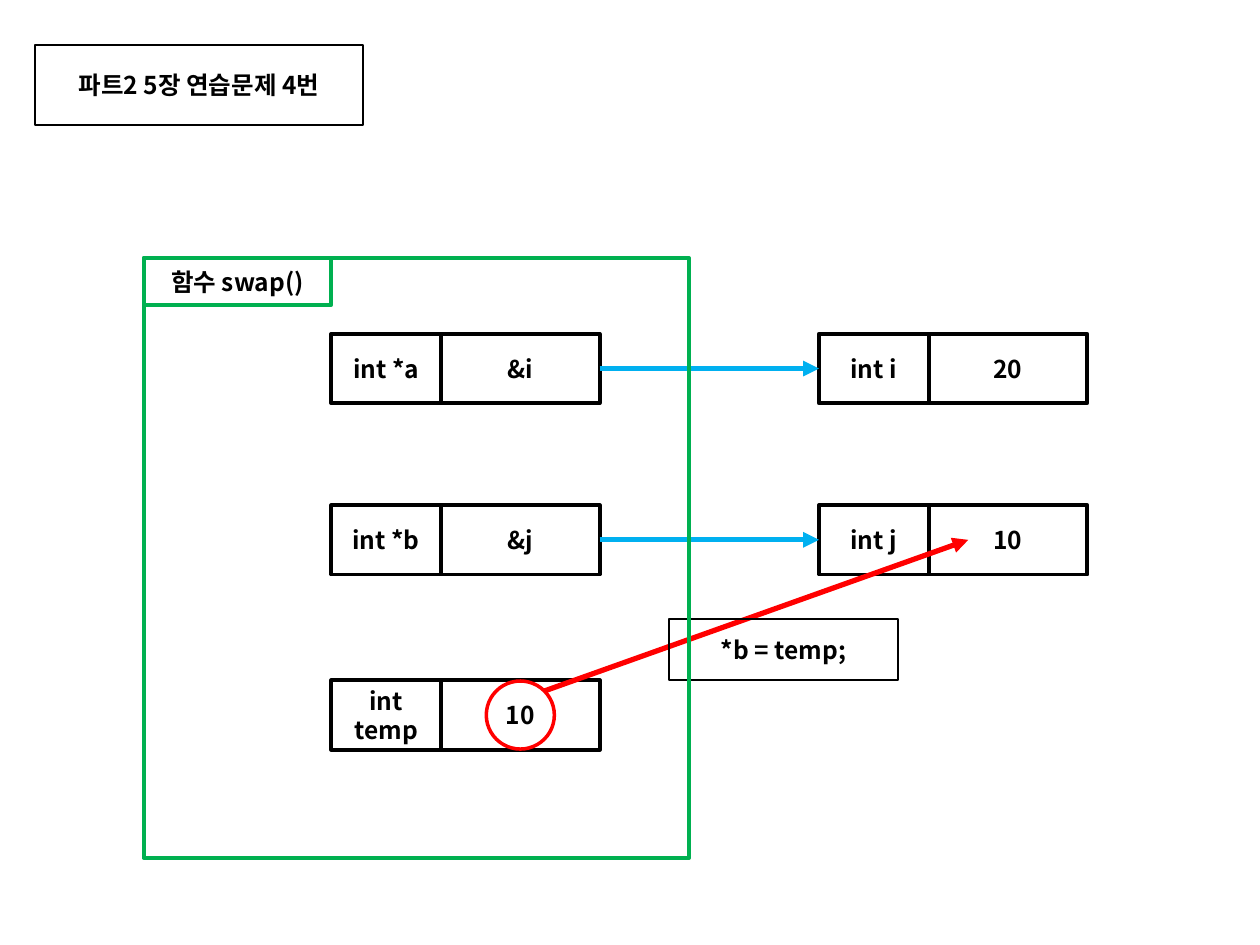
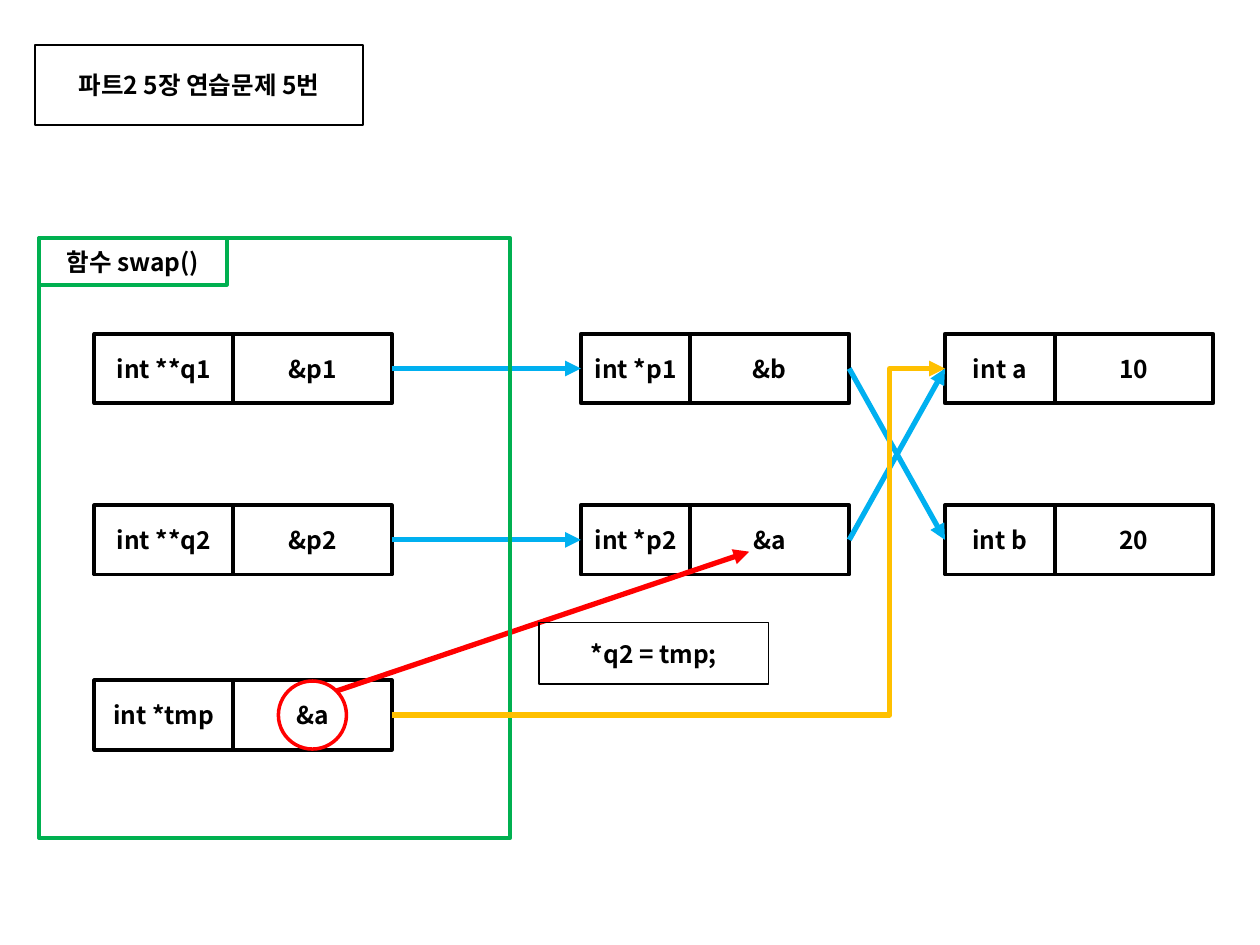
"""Build two slides that trace how swap() exchanges values through pointers."""
from dataclasses import dataclass
from math import sqrt

from lxml.etree import SubElement
from pptx import Presentation
from pptx.dml.color import RGBColor
from pptx.enum.shapes import MSO_CONNECTOR as Link, MSO_SHAPE as Kind
from pptx.enum.text import MSO_ANCHOR as Anchor, PP_ALIGN as Align
from pptx.oxml.ns import qn
from pptx.util import Inches, Pt


@dataclass(frozen=True)
class Theme:
    font: str = "Noto Sans CJK KR"
    size: int = 14
    ink: str = "000000"
    scope: str = "00B050"
    pointer: str = "00B0F0"
    assign: str = "FF0000"
    copied: str = "FFC000"
    thin: float = 1
    ring: float = 2
    frame: float = 2.25
    arrow: float = 3


THEME = Theme()
WIDTH, HEIGHT = 10, 7.5
TITLE = (0.28, 0.36, 2.6, 0.63)
ROWS = (2.65, 4.01, 5.4)
CELL_HEIGHT, VALUE_WIDTH = 0.55, 1.26
SCOPE_HEIGHT, TAB_SIZE, NOTE_SIZE = 4.76, (1.49, 0.37), (1.82, 0.49)
RING = 0.54
ELBOW = 0.9

SLIDES = [
    {
        "title": "파트2 5장 연습문제 4번",
        "scope": (1.14, 2.05, 4.33),
        "columns": [
            (2.63, 0.87, [("int *a", "&i"), ("int *b", "&j"), ("int temp", "10")]),
            (6.5, 0.87, [("int i", "20"), ("int j", "10")]),
        ],
        "pointers": [((0, 0), (1, 0)), ((0, 1), (1, 1))],
        "source": (0, 2),
        "target": (1, 1),
        "aim": (0.25, 0.5),
        "note": ("*b = temp;", 5.31, 4.91),
        "copied": None,
    },
    {
        "title": "파트2 5장 연습문제 5번",
        "scope": (0.31, 1.89, 3.74),
        "columns": [
            (0.75, 1.1, [("int **q1", "&p1"), ("int **q2", "&p2"), ("int *tmp", "&a")]),
            (4.61, 0.87, [("int *p1", "&b"), ("int *p2", "&a")]),
            (7.5, 0.87, [("int a", "10"), ("int b", "20")]),
        ],
        "pointers": [((0, 0), (1, 0)), ((0, 1), (1, 1)),
                     ((1, 0), (2, 1)), ((1, 1), (2, 0))],
        "source": (0, 2),
        "target": (1, 1),
        "aim": (0.37, 0.67),
        "note": ("*q2 = tmp;", 4.28, 4.94),
        "copied": ((0, 2), (2, 0)),
    },
]


def write(shape, text):
    frame = shape.text_frame
    frame.text = text
    frame.word_wrap = True
    frame.vertical_anchor = Anchor.MIDDLE
    para = frame.paragraphs[0]
    para.alignment = Align.CENTER
    font = para.font
    font.size, font.bold, font.name = Pt(THEME.size), True, THEME.font
    font.color.rgb = RGBColor.from_string(THEME.ink)
    defaults = para._p.pPr.find(qn("a:defRPr"))
    SubElement(defaults, qn("a:ea"), typeface=THEME.font)


def outline(shape, color, weight):
    shape.line.color.rgb = RGBColor.from_string(color)
    shape.line.width = Pt(weight)


def add_box(page, area, color, weight, text="", kind=Kind.RECTANGLE):
    box = page.shapes.add_shape(kind, *map(Inches, area))
    box.shadow.inherit = False
    box.fill.background()
    outline(box, color, weight)
    if text:
        write(box, text)


def add_arrow(page, start, end, color, link=Link.STRAIGHT):
    arrow = page.shapes.add_connector(link, *map(Inches, (*start, *end)))
    outline(arrow, color, THEME.arrow)
    properties = arrow._element.spPr
    SubElement(properties.find(qn("a:ln")), qn("a:tailEnd"), type="triangle")
    SubElement(properties, qn("a:effectLst"))
    if link == Link.ELBOW:
        guides = properties.find(qn("a:prstGeom")).find(qn("a:avLst"))
        SubElement(guides, qn("a:gd"), name="adj1", fmla=f"val {ELBOW * 100000:.0f}")


def add_title(page, text):
    title = page.shapes.title
    title.left, title.top, title.width, title.height = map(Inches, TITLE)
    write(title, text)
    outline(title, THEME.ink, THEME.thin)


def add_variables(page, columns):
    for left, label_width, variables in columns:
        for top, (label, value) in zip(ROWS, variables):
            add_box(page, (left + label_width, top, VALUE_WIDTH, CELL_HEIGHT),
                    THEME.ink, THEME.frame, value)
            add_box(page, (left, top, label_width, CELL_HEIGHT),
                    THEME.ink, THEME.frame, label)


def add_scope(page, left, top, width):
    add_box(page, (left, top, width, SCOPE_HEIGHT), THEME.scope, THEME.frame)
    add_box(page, (left, top, *TAB_SIZE), THEME.scope, THEME.frame, "함수 swap()")


def value_point(columns, cell, across, down):
    column, row = cell
    left, label_width, _ = columns[column]
    return left + label_width + across * VALUE_WIDTH, ROWS[row] + down * CELL_HEIGHT


def link_points(columns, start, end):
    column, row = end
    return (value_point(columns, start, 1, 0.5),
            (columns[column][0], ROWS[row] + CELL_HEIGHT / 2))


def add_assignment(page, content):
    columns = content["columns"]
    x, y = value_point(columns, content["source"], 0.5, 0.5)
    add_box(page, (x - RING / 2, y - RING / 2, RING, RING),
            THEME.assign, THEME.ring, kind=Kind.OVAL)
    reach = RING / 2 / sqrt(2)
    add_arrow(page, (x + reach, y - reach),
              value_point(columns, content["target"], *content["aim"]), THEME.assign)
    text, left, top = content["note"]
    add_box(page, (left, top, *NOTE_SIZE), THEME.ink, THEME.thin, text)


def add_page(deck, content):
    page = deck.slides.add_slide(deck.slide_layouts.get_by_name("Title Only"))
    columns = content["columns"]
    add_title(page, content["title"])
    add_variables(page, columns)
    for start, end in content["pointers"]:
        add_arrow(page, *link_points(columns, start, end), THEME.pointer)
    add_assignment(page, content)
    add_scope(page, *content["scope"])
    if content["copied"]:
        add_arrow(page, *link_points(columns, *content["copied"]),
                  THEME.copied, Link.ELBOW)


deck = Presentation()
deck.slide_width, deck.slide_height = Inches(WIDTH), Inches(HEIGHT)
for content in SLIDES:
    add_page(deck, content)
deck.save("out.pptx")
